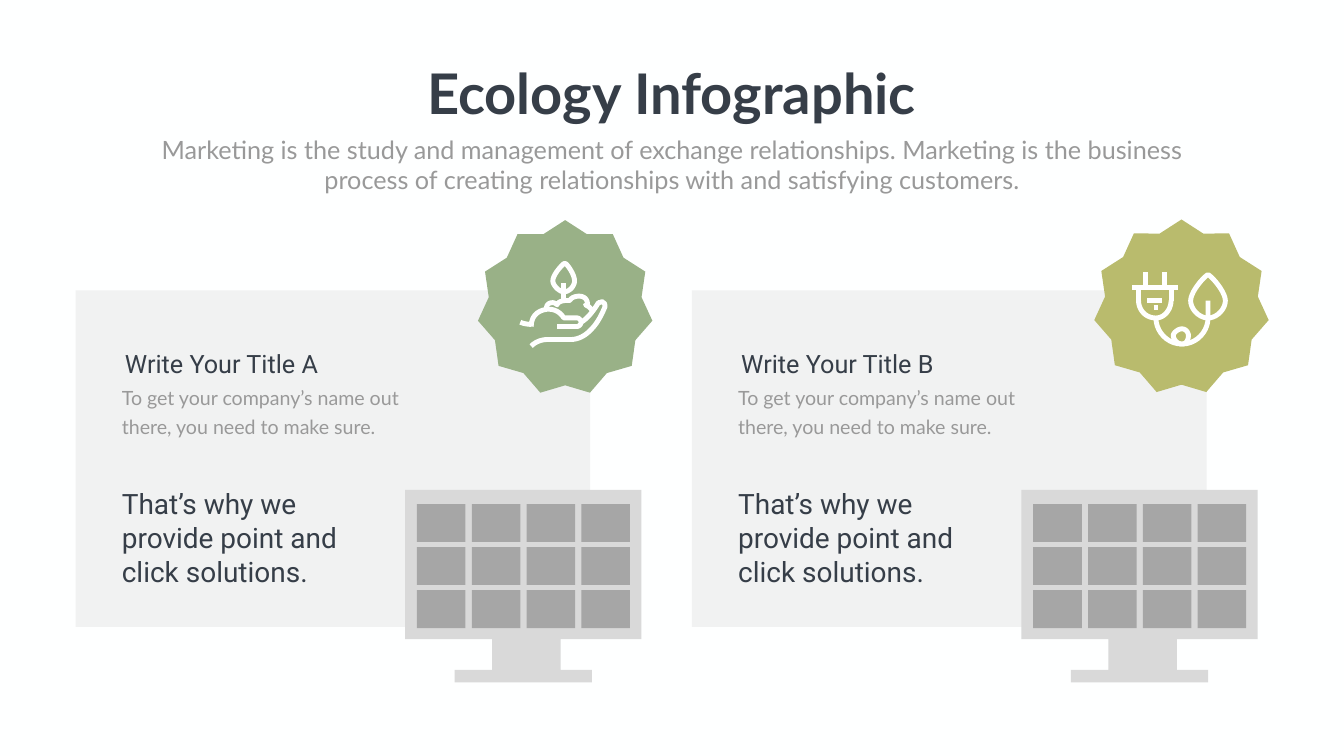
from math import cos, pi, sin

from lxml import etree
from pptx import Presentation
from pptx.dml.color import RGBColor
from pptx.enum.shapes import MSO_CONNECTOR, MSO_SHAPE
from pptx.enum.text import MSO_AUTO_SIZE, PP_ALIGN
from pptx.oxml.ns import qn
from pptx.util import Pt

PAPER = RGBColor(0xFE, 0xFF, 0xFF)
WHITE = RGBColor(0xFF, 0xFF, 0xFF)
INK = RGBColor(0x36, 0x3E, 0x48)
GREY_TEXT = RGBColor(0x99, 0x99, 0x99)
PANEL = RGBColor(0x80, 0x80, 0x80)
FRAME = RGBColor(0xD9, 0xD9, 0xD9)
CELL = RGBColor(0xA6, 0xA6, 0xA6)
GREEN = RGBColor(0x99, 0xB1, 0x87)
OLIVE = RGBColor(0xB9, 0xBB, 0x6D)

HEADING = "Ecology Infographic"
INTRO = ("Marketing is the study and management of exchange relationships. "
         "Marketing is the business process of creating relationships with "
         "and satisfying customers.")
BODY = "To get your company\u2019s name out there, you need to make sure."
STATEMENT = "That\u2019s why we provide point and click solutions."

# Icon strokes on a small grid: a pair is a straight step, six numbers a Bezier step.
HAND_ICON = {
    "offset": (-64.1, -63.7),
    "strokes": [
        [(17, 29), (26, 29), (27, 29, 28, 28, 28, 27), (28, 26, 27, 25, 26, 25),
         (20, 25), (20, 25, 18, 21, 13, 21), (13, 21, 5, 21, 5, 29)],
        [(28, 27), (32, 25, 36, 18, 36, 18), (37, 18, 38, 17, 38, 18),
         (39, 18, 39, 19, 39, 20), (36, 27, 34, 29, 32, 31),
         (30, 33, 27, 35, 23, 35), (12, 35), (12, 35, 8, 35, 5, 38)],
        [(5, 28), (5, 28, 2, 28, 0, 27)],
        [(21, 0), (20, 0), (19, 1, 15, 5, 15, 8), (15, 10, 18, 13, 20, 13),
         (23, 13, 25, 10, 25, 8), (25, 5, 22, 1, 21, 0)],
        [(33, 22), (33, 21, 32, 20, 30, 19), (31, 19), (31, 16, 29, 15, 27, 15),
         (25, 15, 23, 16, 23, 17), (22, 17, 22, 17, 21, 17),
         (19, 17, 17, 18, 17, 19), (16, 18, 15, 18, 15, 18),
         (13, 18, 12, 19, 12, 21)],
    ],
    "lines": [(20, 17, 20, 9)],
}
PLUG_ICON = {
    "offset": (-70.6, -50.2),
    "strokes": [
        [(35, 1), (33, 2, 27, 9, 27, 13), (27, 17, 31, 21, 35, 21),
         (39, 21, 43, 17, 43, 13), (43, 9, 37, 2, 35, 1)],
        [(18, 13), (18, 17, 15, 21, 11, 21), (6, 21, 3, 17, 3, 13)],
        [(11, 21), (11, 27, 16, 33, 23, 33), (30, 33, 35, 27, 35, 21), (35, 13)],
        [(26, 29), (26, 31, 25, 33, 23, 33), (21, 33, 19, 31, 19, 29),
         (19, 28, 21, 26, 23, 26), (25, 26, 26, 28, 26, 29)],
    ],
    "lines": [(18, 7, 18, 13), (3, 13, 3, 7), (0, 7, 21, 7), (6, 7, 6, 0),
              (15, 7, 15, 0), (7, 13, 14, 13), (10, 16, 12, 16)],
}
# Title, body width, badge colour, badge centre height, icon
CARDS = [
    ("Write Your Title A", 473, GREEN, 440.3, HAND_ICON),
    ("Write Your Title B", 441.4, OLIVE, 439.4, PLUG_ICON),
]
CARD_LEFT, CARD_PITCH = 108, 880.2
MONITOR = [(808, 913), (808, 700), (470.6, 700), (470.6, 913), (594.7, 913),
           (594.7, 957), (541.4, 957), (541.4, 975), (737.2, 975),
           (737.2, 957), (692.8, 957), (692.8, 913)]
CELL_COLS, CELL_ROWS = 4, 3
CELL_LEFT, CELL_TOP, CELL_DX, CELL_DY = 487.5, 720, 78.3, 61.6
BADGE_X, BADGE_TIPS, BADGE_OUTER, BADGE_INNER = 699.2, 11, 125.8, 110.2
ICON_UNIT, ICON_LINE = 3.1, 7
CURVE_STEPS = 10


def paint(shape, color):
    """Give a shape a plain fill without line or shadow."""
    shape.shadow.inherit = False
    shape.fill.solid()
    shape.fill.fore_color.rgb = color
    shape.line.fill.background()


def add_rect(shapes, left, top, width, height, color):
    """Add a filled rectangle."""
    rect = shapes.add_shape(MSO_SHAPE.RECTANGLE, Pt(left), Pt(top), Pt(width), Pt(height))
    paint(rect, color)
    return rect


def add_outline(shapes, points, close=True):
    """Add a freeform through points."""
    path = [(Pt(x), Pt(y)) for x, y in points]
    builder = shapes.build_freeform(*path[0], scale=1.0)
    builder.add_line_segments(path[1:], close=close)
    return builder.convert_to_shape()


def add_text(shapes, text, box, size, font, color, bold=False, wrap=True,
             align=PP_ALIGN.LEFT, spacing=None):
    """Add a one-paragraph text box."""
    frame = shapes.add_textbox(*map(Pt, box)).text_frame
    frame.word_wrap = wrap
    frame.auto_size = MSO_AUTO_SIZE.SHAPE_TO_FIT_TEXT
    paragraph = frame.paragraphs[0]
    paragraph.alignment = align
    if spacing:
        paragraph.line_spacing = Pt(spacing)
    run = paragraph.add_run()
    run.text = text
    run.font.size, run.font.name, run.font.bold = Pt(size), font, bold
    run.font.color.rgb = color


def trace(stroke):
    """Turn straight and Bezier steps into a list of points."""
    points = [stroke[0]]
    for step in stroke[1:]:
        if len(step) == 2:
            points.append(step)
            continue
        controls = [points[-1], step[:2], step[2:4], step[4:]]
        for i in range(1, CURVE_STEPS + 1):
            t = i / CURVE_STEPS
            weights = ((1 - t) ** 3, 3 * t * (1 - t) ** 2, 3 * t * t * (1 - t), t ** 3)
            points.append(tuple(sum(w * c[axis] for w, c in zip(weights, controls))
                                for axis in (0, 1)))
    return points


def style_stroke(shape):
    """Give an icon part its white line."""
    shape.line.color.rgb = WHITE
    shape.line.width = Pt(ICON_LINE)


def add_icon(shapes, icon, center_x, center_y):
    """Draw a line icon placed from the badge centre."""
    def place(x, y):
        """Map icon grid units to slide points."""
        return (center_x + icon["offset"][0] + x * ICON_UNIT,
                center_y + icon["offset"][1] + y * ICON_UNIT)

    for stroke in icon["strokes"]:
        closed = stroke[0] == stroke[-1][-2:]
        outline = add_outline(shapes, [place(*p) for p in trace(stroke)], closed)
        outline.fill.background()
        outline.shadow.inherit = False
        style_stroke(outline)
    for x1, y1, x2, y2 in icon["lines"]:
        ends = map(Pt, place(x1, y1) + place(x2, y2))
        line = shapes.add_connector(MSO_CONNECTOR.STRAIGHT, *ends)
        style_stroke(line)
        etree.SubElement(line._element.spPr, qn("a:effectLst"))


def add_badge(shapes, center_x, center_y, color):
    """Draw the star-edged badge."""
    points = []
    for i in range(2 * BADGE_TIPS):
        radius = BADGE_INNER if i % 2 else BADGE_OUTER
        angle = i * pi / BADGE_TIPS
        points.append((center_x + radius * sin(angle), center_y - radius * cos(angle)))
    paint(add_outline(shapes, points), color)


def add_card(shapes, left, title, body_width, color, badge_y, icon):
    """Draw one card with its texts, solar monitor and badge."""
    panel = add_rect(shapes, left, 414.7, 735, 481, PANEL)
    tint = panel.fill._xPr.find(qn("a:solidFill"))[0]
    etree.SubElement(tint, qn("a:alpha"), val="10000")
    add_text(shapes, BODY, (left + 59, 540.7, body_width, 85.7), 28, "Lato",
             GREY_TEXT, spacing=40.8)
    add_text(shapes, title, (left + 63.4, 494, 412, 51), 36, "Roboto", INK)
    add_text(shapes, STATEMENT, (left + 59, 692, 363, 152.6), 40, "Roboto", INK)
    paint(add_outline(shapes, [(left + x, y) for x, y in MONITOR]), FRAME)
    for col in range(CELL_COLS):
        for row in range(CELL_ROWS):
            add_rect(shapes, left + CELL_LEFT + col * CELL_DX,
                     CELL_TOP + row * CELL_DY, 69.3, 54, CELL)
    add_badge(shapes, left + BADGE_X, badge_y, color)
    add_icon(shapes, icon, left + BADGE_X, badge_y)


prs = Presentation()
prs.slide_width, prs.slide_height = Pt(1919.5), Pt(1080)
slide = prs.slides.add_slide(prs.slide_layouts[6])
slide.background.fill.solid()
slide.background.fill.fore_color.rgb = PAPER

for index, card in enumerate(CARDS):
    add_card(slide.shapes, CARD_LEFT + index * CARD_PITCH, *card)
add_text(slide.shapes, HEADING, (595.4, 80.6, 728, 104.4), 80, "Lato", INK,
         bold=True, wrap=False, align=PP_ALIGN.CENTER)
add_text(slide.shapes, INTRO, (210.2, 188, 1499, 94.3), 36, "Lato", GREY_TEXT,
         align=PP_ALIGN.CENTER)
prs.save("out.pptx")
